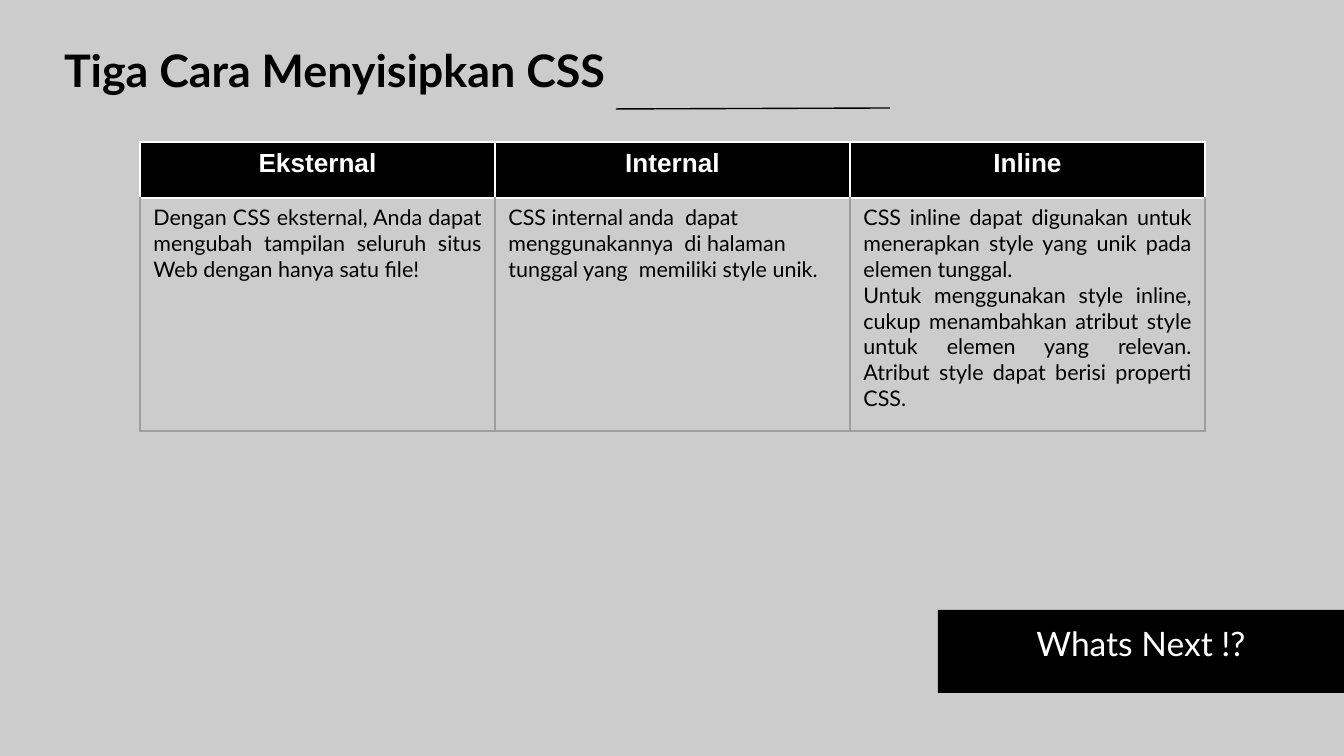
from dataclasses import dataclass

from lxml.etree import SubElement
from pptx import Presentation
from pptx.dml.color import RGBColor
from pptx.enum.shapes import MSO_CONNECTOR, MSO_SHAPE
from pptx.enum.text import MSO_ANCHOR, MSO_AUTO_SIZE, PP_ALIGN
from pptx.oxml import parse_xml
from pptx.oxml.ns import nsdecls, qn
from pptx.util import Emu, Pt

EMU_PER_PX = 914400 / 134.4


def px(length):
    return Emu(round(length * EMU_PER_PX))


@dataclass(frozen=True)
class Theme:
    background: str = "CCCCCC"
    ink: str = "000000"
    paper: str = "FFFFFF"
    grid: str = "9E9E9E"
    main_font: str = "Lato"
    header_font: str = "Arial"
    title_size: float = 24
    banner_size: float = 18
    header_size: float = 14
    body_size: float = 11.5
    line_width: float = 0.75
    inset: int = 13


class SlideBuilder:
    def __init__(self, deck, theme):
        self.theme = theme
        self.slide = deck.slides.add_slide(deck.slide_layouts[5])
        fill = self.slide.background.fill
        fill.solid()
        fill.fore_color.rgb = RGBColor.from_string(theme.background)

    def add_text(self, frame, paragraphs, size, color, align, font=None, bold=False):
        frame.word_wrap = True
        for index, text in enumerate(paragraphs):
            para = frame.paragraphs[0] if index == 0 else frame.add_paragraph()
            para.alignment = align
            span = para.add_run()
            span.text = text
            span.font.name = font or self.theme.main_font
            span.font.size = Pt(size)
            span.font.bold = bold
            span.font.color.rgb = RGBColor.from_string(color)

    def set_frame(self, frame):
        inset = px(self.theme.inset)
        frame.margin_left = frame.margin_right = inset
        frame.margin_top = frame.margin_bottom = inset
        frame.vertical_anchor = MSO_ANCHOR.TOP
        frame.auto_size = MSO_AUTO_SIZE.NONE

    def title(self, text, left, top, width, height):
        box = self.slide.shapes.title
        box.left, box.top, box.width, box.height = map(px, (left, top, width, height))
        self.set_frame(box.text_frame)
        self.add_text(box.text_frame, [text], self.theme.title_size, self.theme.ink,
                      PP_ALIGN.LEFT, bold=True)

    def rule(self, *ends):
        line = self.slide.shapes.add_connector(MSO_CONNECTOR.STRAIGHT, *map(px, ends))
        line.line.color.rgb = RGBColor.from_string(self.theme.ink)
        line.line.width = Pt(self.theme.line_width)
        SubElement(line._element.spPr, qn("a:effectLst"))

    def banner(self, text, *bounds):
        box = self.slide.shapes.add_shape(MSO_SHAPE.RECTANGLE, *map(px, bounds))
        box.shadow.inherit = False
        box.fill.solid()
        box.fill.fore_color.rgb = RGBColor.from_string(self.theme.ink)
        box.line.fill.background()
        self.set_frame(box.text_frame)
        self.add_text(box.text_frame, [text], self.theme.banner_size, self.theme.paper,
                      PP_ALIGN.CENTER)

    def borders(self, cell, **colors):
        properties = cell._tc.get_or_add_tcPr()
        for index, (side, color) in enumerate(colors.items()):
            properties.insert(index, parse_xml(
                f'<a:ln{side} {nsdecls("a")} w="{Pt(self.theme.line_width)}">'
                f'<a:solidFill><a:srgbClr val="{color}"/></a:solidFill></a:ln{side}>'))

    def table(self, columns, left, top, column_width, row_heights):
        theme = self.theme
        table = self.slide.shapes.add_table(
            len(row_heights), len(columns), px(left), px(top),
            px(column_width * len(columns)), px(sum(row_heights))).table
        for row, height in zip(table.rows, row_heights):
            row.height = px(height)
        for index, (heading, paragraphs, align) in enumerate(columns):
            table.columns[index].width = px(column_width)
            header, body = table.cell(0, index), table.cell(1, index)

            header.fill.solid()
            header.fill.fore_color.rgb = RGBColor.from_string(theme.ink)
            self.borders(header, L=theme.paper, R=theme.paper,
                         T=theme.paper, B=theme.paper)
            self.add_text(header.text_frame, [heading], theme.header_size, theme.paper,
                          PP_ALIGN.CENTER, theme.header_font, bold=True)

            body.fill.background()
            self.borders(body, L=theme.grid, R=theme.grid,
                         T=theme.paper, B=theme.grid)
            self.add_text(body.text_frame, paragraphs, theme.body_size, theme.ink, align)


COLUMNS = [
    ("Eksternal",
     ["Dengan CSS eksternal, Anda dapat mengubah tampilan seluruh situs Web "
      "dengan hanya satu file!"],
     PP_ALIGN.JUSTIFY),
    ("Internal",
     ["CSS internal anda  dapat menggunakannya  di halaman tunggal yang  "
      "memiliki style unik."],
     PP_ALIGN.LEFT),
    ("Inline",
     ["CSS inline dapat digunakan untuk menerapkan style yang unik pada "
      "elemen tunggal.",
      "Untuk menggunakan style inline, cukup menambahkan atribut style untuk "
      "elemen yang relevan. Atribut style dapat berisi properti CSS."],
     PP_ALIGN.JUSTIFY),
]


def main():
    deck = Presentation()
    deck.slide_width, deck.slide_height = px(1344), px(756)
    page = SlideBuilder(deck, Theme())

    # Heading with its rule
    page.title("Tiga Cara Menyisipkan CSS", 51, 30, 583, 75)
    page.rule(616, 109, 890, 108)

    # Comparison of the three methods
    page.table(COLUMNS, left=140, top=142, column_width=355, row_heights=(56, 233))

    # Lead-in to the next slide
    page.banner("Whats Next !?", 938, 610, 406, 83)

    deck.save("out.pptx")


if __name__ == "__main__":
    main()
